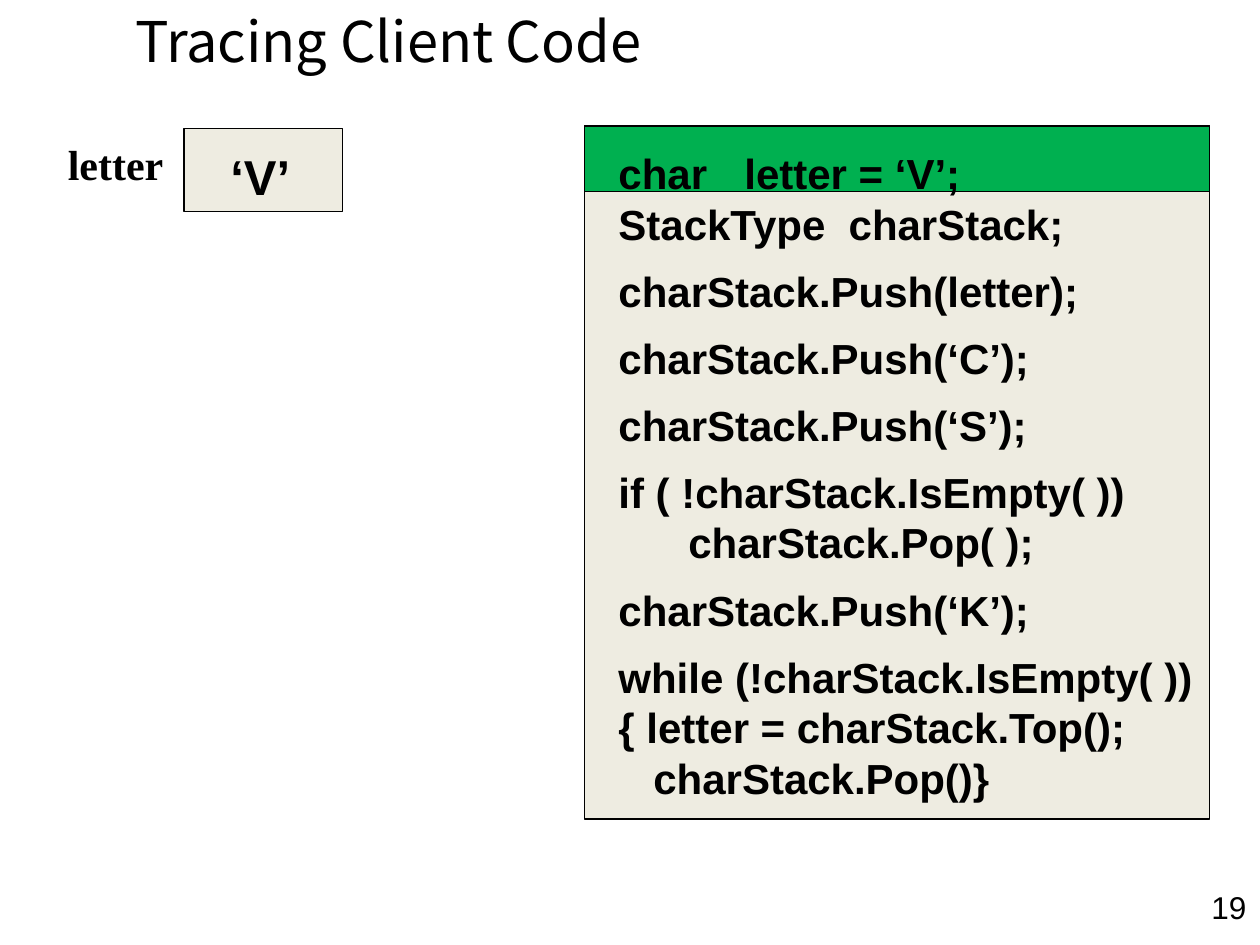
from dataclasses import dataclass

from pptx import Presentation
from pptx.dml.color import RGBColor
from pptx.enum.shapes import MSO_SHAPE
from pptx.enum.text import MSO_ANCHOR, PP_ALIGN
from pptx.util import Inches, Pt

RECT = MSO_SHAPE.RECTANGLE
MIDDLE = MSO_ANCHOR.MIDDLE
LEFT, CENTER, RIGHT = PP_ALIGN.LEFT, PP_ALIGN.CENTER, PP_ALIGN.RIGHT
TITLE_ONLY = 5


@dataclass(frozen=True)
class Theme:
    ink: RGBColor = RGBColor(0x00, 0x00, 0x00)
    panel: RGBColor = RGBColor(0xEE, 0xEC, 0xE1)
    highlight: RGBColor = RGBColor(0x00, 0xB0, 0x50)
    title_font: str = "Noto Sans CJK KR"
    code_font: str = "Arial"
    label_font: str = "Times New Roman"
    title_size: int = 32
    value_size: int = 28
    code_size: int = 24
    number_size: int = 18
    line_ratio: float = 1.205
    statement_gap: float = 9.4


# Each inner list is one statement; its lines stand close together.
STATEMENTS = [
    ["char\tletter = ‘V’;", "StackType  charStack;"],
    ["charStack.Push(letter);"],
    ["charStack.Push(‘C’);"],
    ["charStack.Push(‘S’);"],
    ["if ( !charStack.IsEmpty( ))", "      charStack.Pop( );"],
    ["charStack.Push(‘K’);"],
    ["while (!charStack.IsEmpty( ))", "{ letter = charStack.Top();",
     "   charStack.Pop()}"],
]


class SlideBuilder:
    def __init__(self, slide, theme):
        self.s = slide
        self.theme = theme

    def place(self, sp, box):
        sp.left, sp.top, sp.width, sp.height = (Inches(v) for v in box)

    def add_run(self, p, text, font, size, bold):
        r = p.add_run()
        r.text = text
        r.font.name = font
        r.font.size = Pt(size)
        r.font.bold = bold
        r.font.color.rgb = self.theme.ink

    def title(self, text, box):
        sp = self.s.shapes.title
        self.place(sp, box)
        tf = sp.text_frame
        tf.vertical_anchor = MIDDLE
        p = tf.paragraphs[0]
        p.alignment = CENTER
        self.add_run(p, text, self.theme.title_font, self.theme.title_size, False)

    def panel(self, box, color):
        sp = self.s.shapes.add_shape(RECT, *(Inches(v) for v in box))
        sp.shadow.inherit = False
        sp.fill.solid()
        sp.fill.fore_color.rgb = color
        sp.line.color.rgb = self.theme.ink
        sp.line.width = Pt(1)

    def text(self, groups, box, font, size, bold=True, align=LEFT, wrap=False):
        """Write groups of lines, with a gap before every group but the first."""
        tf = self.s.shapes.add_textbox(*(Inches(v) for v in box)).text_frame
        tf.word_wrap = wrap
        p = None
        for group in groups:
            for i, line in enumerate(group):
                first = p is None
                p = tf.paragraphs[0] if first else tf.add_paragraph()
                p.alignment = align
                p.line_spacing = Pt(size * self.theme.line_ratio)
                if i == 0 and not first:
                    p.space_before = Pt(self.theme.statement_gap)
                self.add_run(p, line, font, size, bold)


def main():
    prs = Presentation()
    prs.slide_width, prs.slide_height = Inches(10), Inches(7.5)
    theme = Theme()
    slide = SlideBuilder(prs.slides.add_slide(prs.slide_layouts[TITLE_ONLY]), theme)

    slide.title("Tracing Client Code", (0.42, -0.1, 5.33, 0.83))

    slide.panel((4.64, 1, 4.96, 5.5), theme.panel)
    slide.panel((4.64, 1, 4.96, 0.52), theme.highlight)
    slide.text(STATEMENTS, (4.81, 1.12, 4.91, 5.3), theme.code_font,
               theme.code_size, wrap=True)

    slide.text([["letter"]], (0.44, 1.05, 0.96, 0.5), theme.label_font, theme.code_size)
    slide.panel((1.46, 1.02, 1.26, 0.66), theme.panel)
    slide.text([["‘V’"]], (1.73, 1.11, 0.68, 0.57), theme.code_font, theme.value_size)

    slide.text([["19"]], (7.91, 7, 2.08, 0.5), theme.code_font, theme.number_size,
               bold=False, align=RIGHT, wrap=True)
    prs.save("out.pptx")


if __name__ == "__main__":
    main()
